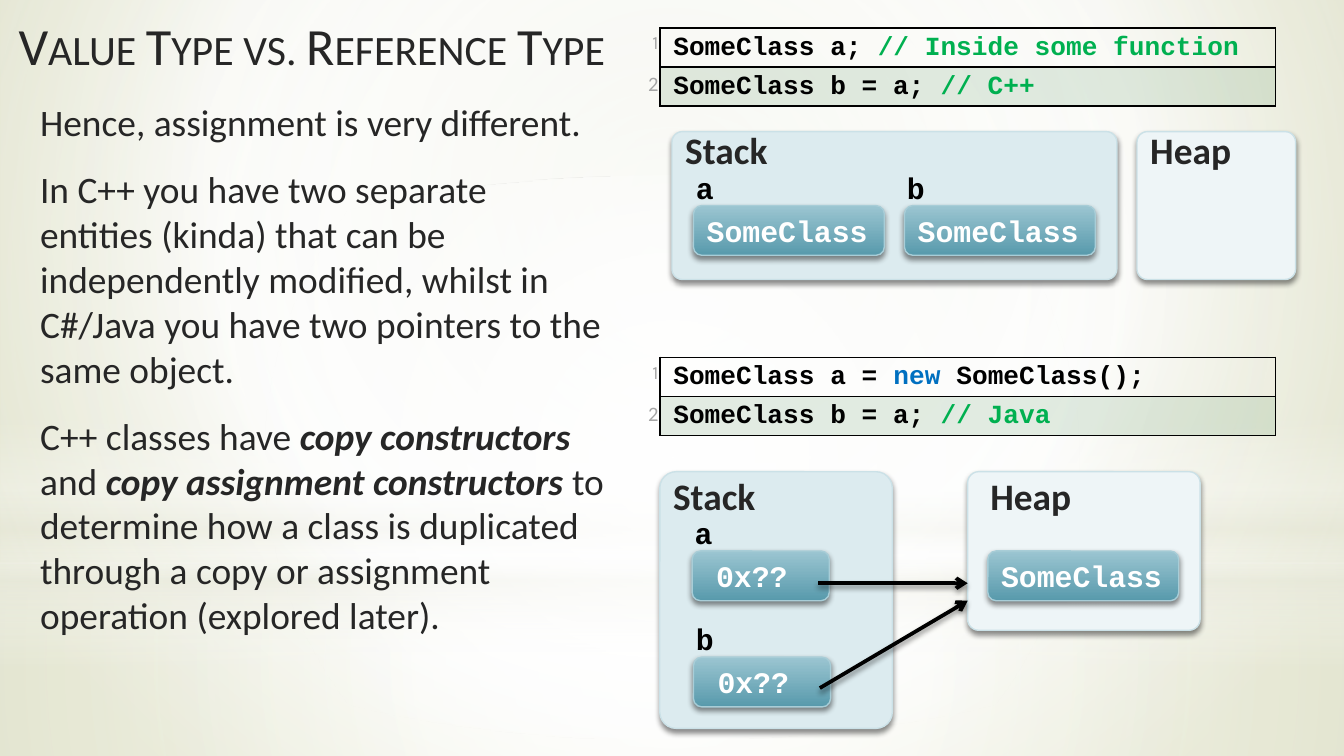
from lxml.etree import SubElement
from pptx import Presentation
from pptx.dml.color import RGBColor
from pptx.enum.shapes import MSO_CONNECTOR, MSO_SHAPE
from pptx.enum.text import MSO_ANCHOR, PP_ALIGN
from pptx.oxml.ns import qn
from pptx.util import Inches, Pt


class Theme:
    sans, mono, count = "Calibri", "Courier New", "Karla"
    ink, black, white, grey = "262626", "000000", "FFFFFF", "A6A6A6"
    green, blue, band = "00B050", "0070C0", "72A376"
    stack, heap, edge = "DCEBEF", "EEF5F7", "CBE1E7"
    chip, rim = [(0, "9BC5D1", 100), (100, "589AAC", 100)], "A8CDD7"
    cream, leaf, olive = "EAEBDE", "E3E5D1", "CCD09F"
    title, body, label, code = 28, 20, 16, 14


def grad(parent, stops, rect=None):
    """Append a gradient: radial towards rect, else top to bottom."""
    fill = SubElement(parent, qn("a:gradFill"), rotWithShape="1")
    items = SubElement(fill, qn("a:gsLst"))
    for pos, color, alpha in stops:
        stop = SubElement(items, qn("a:gs"), pos=str(pos * 1000))
        tint = SubElement(stop, qn("a:srgbClr"), val=color)
        if alpha < 100:
            SubElement(tint, qn("a:alpha"), val=str(alpha * 1000))
    if rect:
        path = SubElement(fill, qn("a:path"), path="circle")
        sides = {side: str(n * 1000) for side, n in zip("ltrb", rect)}
        SubElement(path, qn("a:fillToRect"), **sides)
    else:
        SubElement(fill, qn("a:lin"), ang="5400000", scaled="0")
    return fill


def write(para, text, size, color, font=Theme.sans, bold=False, slant=False):
    """Add one styled run to a paragraph."""
    run = para.add_run()
    run.text = text
    run.font.name, run.font.size = font, Pt(size)
    run.font.bold, run.font.italic = bold, slant
    run.font.color.rgb = RGBColor.from_string(color)
    return run


deck = Presentation()
deck.slide_width = Inches(10)
deck.slide_height = Inches(10) * 9 // 16
slide = deck.slides.add_slide(deck.slide_layouts[6])
shapes = slide.shapes

# Background
slide.background.fill.solid()
base = slide.background._cSld.bg.bgPr
old = base[0]
base.replace(old, grad(base, [(0, Theme.leaf, 100), (60, Theme.white, 100),
                              (100, Theme.olive, 100)], (20, 10, 20, 60)))

# Soft light over the background
mid = (50, 50, 50, 50)
W, C = Theme.white, Theme.cream
for kind, top, high, stops, rect in [
    (MSO_SHAPE.RECTANGLE, 4.19, 1.44, [(0, W, 91), (37, W, 76), (100, C, 79)], mid),
    (MSO_SHAPE.RECTANGLE, 0, 4.19, [(0, W, 89), (48, W, 62), (100, C, 79)], mid),
    (MSO_SHAPE.RECTANGLE, 3.09, 1.88, [(0, W, 0), (29, W, 30), (45, C, 40),
                                       (55, W, 26), (65, C, 60), (100, W, 0)], None),
    (MSO_SHAPE.OVAL, 1.31, 4.19, [(0, W, 100), (56, W, 0)], mid),
]:
    glow = shapes.add_shape(kind, 0, Inches(top), Inches(10), Inches(high))
    grad(glow._element.spPr, stops, rect)
    glow.line.fill.background()
    glow.shadow.inherit = False

# Title
box = shapes.add_textbox(Inches(0.04), Inches(0.06), Inches(5.35), Inches(0.63))
box.text_frame.word_wrap = True
box.text_frame.vertical_anchor = MSO_ANCHOR.MIDDLE
box.text_frame.margin_bottom = Inches(0.13)
run = write(box.text_frame.paragraphs[0], "Value Type vs. Reference Type",
            Theme.title, Theme.ink)
run.font._element.set("cap", "small")

# Body: plain and stressed runs
box = shapes.add_textbox(Inches(0.2), Inches(0.69), Inches(4.41), Inches(4.14))
frame = box.text_frame
frame.word_wrap = True
for i, parts in enumerate([
    [("Hence, assignment is very different.", False)],
    [("In C++ you have two separate entities (kinda) that can be independently "
      "modified, whilst in C#/Java you have two pointers to the same object.", False)],
    [("C++ classes have ", False), ("copy constructors ", True), ("and ", False),
     ("copy assignment constructors ", True),
     ("to determine how a class is duplicated through a copy or assignment "
      "operation (explored later).", False)],
]):
    para = frame.add_paragraph() if i else frame.paragraphs[0]
    if i:
        para.space_before = Pt(12)
    for text, strong in parts:
        write(para, text, Theme.body, Theme.ink, bold=strong, slant=strong)

# Code tables
K, G, B = Theme.black, Theme.green, Theme.blue
for top, lines in [
    (0.21, [[("SomeClass a; ", K), ("// Inside some function", G)],
            [("SomeClass b = a; ", K), ("// C++", G)]]),
    (2.66, [[("SomeClass a = ", K), ("new ", B), ("SomeClass();", K)],
            [("SomeClass b = a; ", K), ("// Java", G)]]),
]:
    table = shapes.add_table(2, 2, Inches(4.21), Inches(top),
                             Inches(5.28), Inches(0.58)).table
    table.first_row = table.horz_banding = False
    style = table._tbl.tblPr.find(qn("a:tableStyleId"))
    style.text = "{2D5ABB26-0587-4C30-8999-92F81FD0307C}"  # no style, no grid
    table.columns[0].width, table.columns[1].width = Inches(0.7), Inches(4.58)
    for row, parts in enumerate(lines):
        num, code = table.cell(row, 0), table.cell(row, 1)
        for cell, sides in (num, ["R"]), (code, "LRTB"):
            cell.margin_left = cell.margin_right = Inches(0.01)
            cell.margin_top = cell.margin_bottom = Inches(0.01)
            cell.text_frame.paragraphs[0].line_spacing = 1.15
            cell.fill.background()
            if row and cell is code:
                cell.fill.solid()
                cell.fill.fore_color.rgb = RGBColor.from_string(Theme.band)
                tint = cell._tc.tcPr.find(".//" + qn("a:srgbClr"))
                SubElement(tint, qn("a:alpha"), val="20000")
            for at, side in enumerate(sides):
                edge = SubElement(cell._tc.tcPr, qn("a:ln" + side), w=str(Pt(1)))
                ink = SubElement(edge, qn("a:solidFill"))
                SubElement(ink, qn("a:srgbClr"), val=K)
                cell._tc.tcPr.insert(at, edge)
        code.margin_left = Inches(0.1)
        para = num.text_frame.paragraphs[0]
        para.alignment = PP_ALIGN.RIGHT
        font, size = [(Theme.count, 10), (Theme.sans, 11)][row]
        write(para, str(row + 1), size, Theme.grey, font)
        for text, color in parts:
            write(code.text_frame.paragraphs[0], text, Theme.code, color,
                  Theme.mono, bold=True)

# Memory areas
raised = []
for left, top, wide, high, color in [
    (5, 0.98, 3.31, 1.1, Theme.stack), (8.46, 0.98, 1.18, 1.1, Theme.heap),
    (4.91, 3.51, 1.73, 1.91, Theme.stack), (7.2, 3.51, 1.73, 1.18, Theme.heap),
]:
    card = shapes.add_shape(MSO_SHAPE.ROUNDED_RECTANGLE, Inches(left), Inches(top),
                            Inches(wide), Inches(high))
    card.adjustments[0] = 0.07
    card.fill.solid()
    card.fill.fore_color.rgb = RGBColor.from_string(color)
    card.line.color.rgb = RGBColor.from_string(Theme.edge)
    card.line.width = Pt(0.75)
    raised.append(card)

# Values held in memory
for left, top, wide in [(5.16, 1.53, 1.42), (6.73, 1.53, 1.42), (7.35, 4.1, 1.42),
                        (5.15, 4.1, 1.02), (5.16, 4.89, 1.02)]:
    chip = shapes.add_shape(MSO_SHAPE.ROUNDED_RECTANGLE, Inches(left), Inches(top),
                            Inches(wide), Inches(0.37))
    grad(chip._element.spPr, Theme.chip)
    chip.line.color.rgb = RGBColor.from_string(Theme.rim)
    chip.line.width = Pt(0.75)
    raised.append(chip)

# Labels of areas, variables and values
area = (0.44, Theme.body, Theme.ink, Theme.sans)
name = (0.37, Theme.label, Theme.black, Theme.mono)
value = (0.37, Theme.label, Theme.white, Theme.mono)
for left, top, wide, text, look in [
    (5, 0.9, 1.65, "Stack", area), (8.46, 0.9, 1.02, "Heap", area),
    (4.91, 3.47, 1.65, "Stack", area), (7.27, 3.47, 1.65, "Heap", area),
    (5.08, 1.21, 1.42, "a", name), (6.65, 1.21, 1.42, "b", name),
    (5.07, 3.78, 1.42, "a", name), (5.08, 4.57, 1.42, "b", name),
    (5.16, 1.53, 1.42, "SomeClass", value), (6.73, 1.53, 1.42, "SomeClass", value),
    (7.35, 4.1, 1.42, "SomeClass", value),
    (5.23, 4.1, 0.79, "0x??", value), (5.24, 4.89, 0.79, "0x??", value),
]:
    high, size, color, font = look
    box = shapes.add_textbox(Inches(left), Inches(top), Inches(wide), Inches(high))
    box.text_frame.word_wrap = True
    write(box.text_frame.paragraphs[0], text, size, color, font, bold=True)

# Pointers from stack to heap
for left, start, end in [(6.09, 4.34, 4.34), (6.1, 5.12, 4.47)]:
    arrow = shapes.add_connector(MSO_CONNECTOR.STRAIGHT, Inches(left), Inches(start),
                                 Inches(7.2), Inches(end))
    arrow.line.color.rgb = RGBColor.from_string(Theme.black)
    arrow.line.width = Pt(2)
    SubElement(arrow.line._get_or_add_ln(), qn("a:tailEnd"), type="arrow")
    raised.append(arrow)

# Shadows
for item in raised:
    effect = SubElement(item._element.spPr, qn("a:effectLst"))
    shade = SubElement(effect, qn("a:outerShdw"), blurRad=str(Pt(3.1)),
                       dist=str(Pt(1.8)), dir="5400000", rotWithShape="0")
    tint = SubElement(shade, qn("a:srgbClr"), val=Theme.black)
    SubElement(tint, qn("a:alpha"), val="45000")

deck.save("out.pptx")
